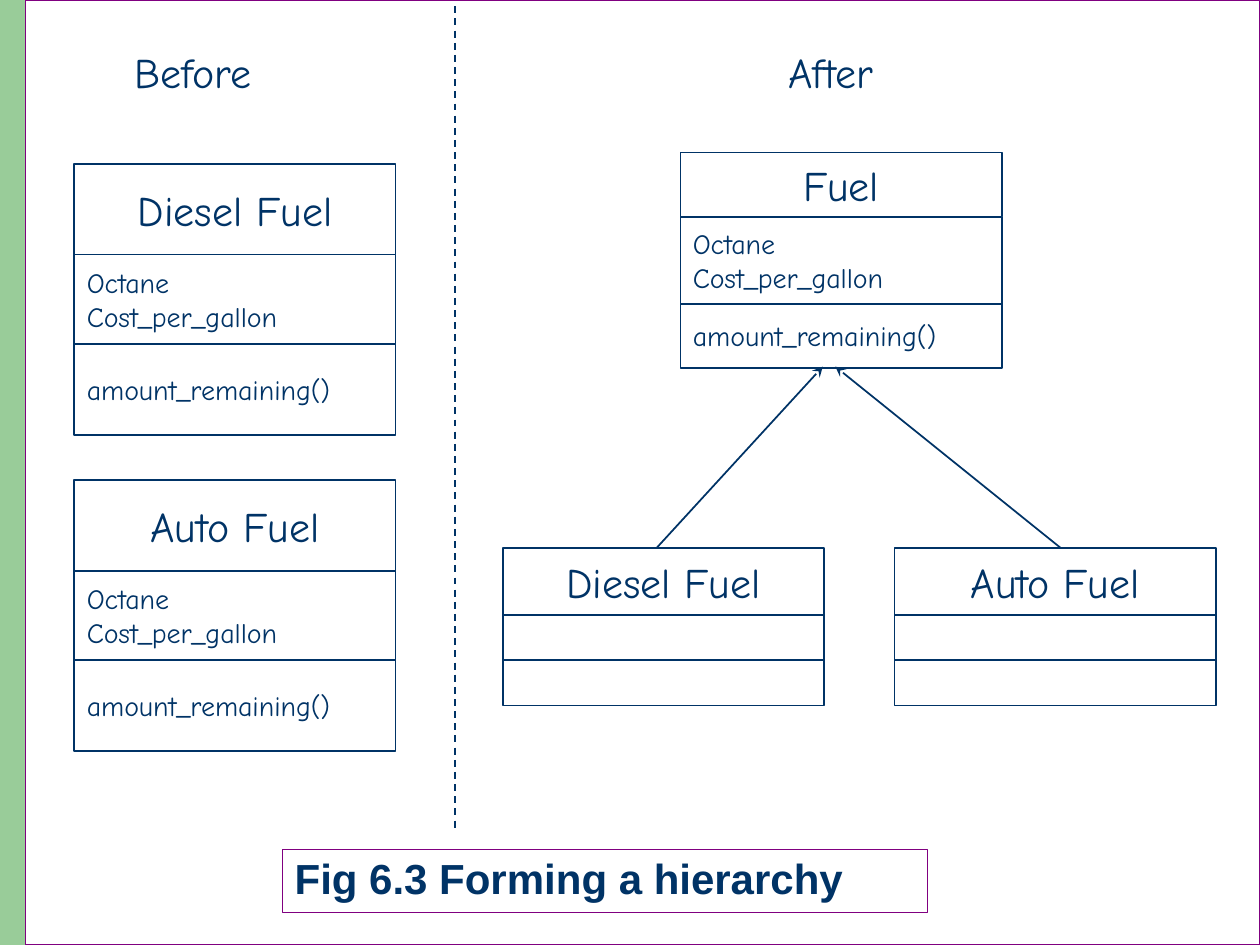
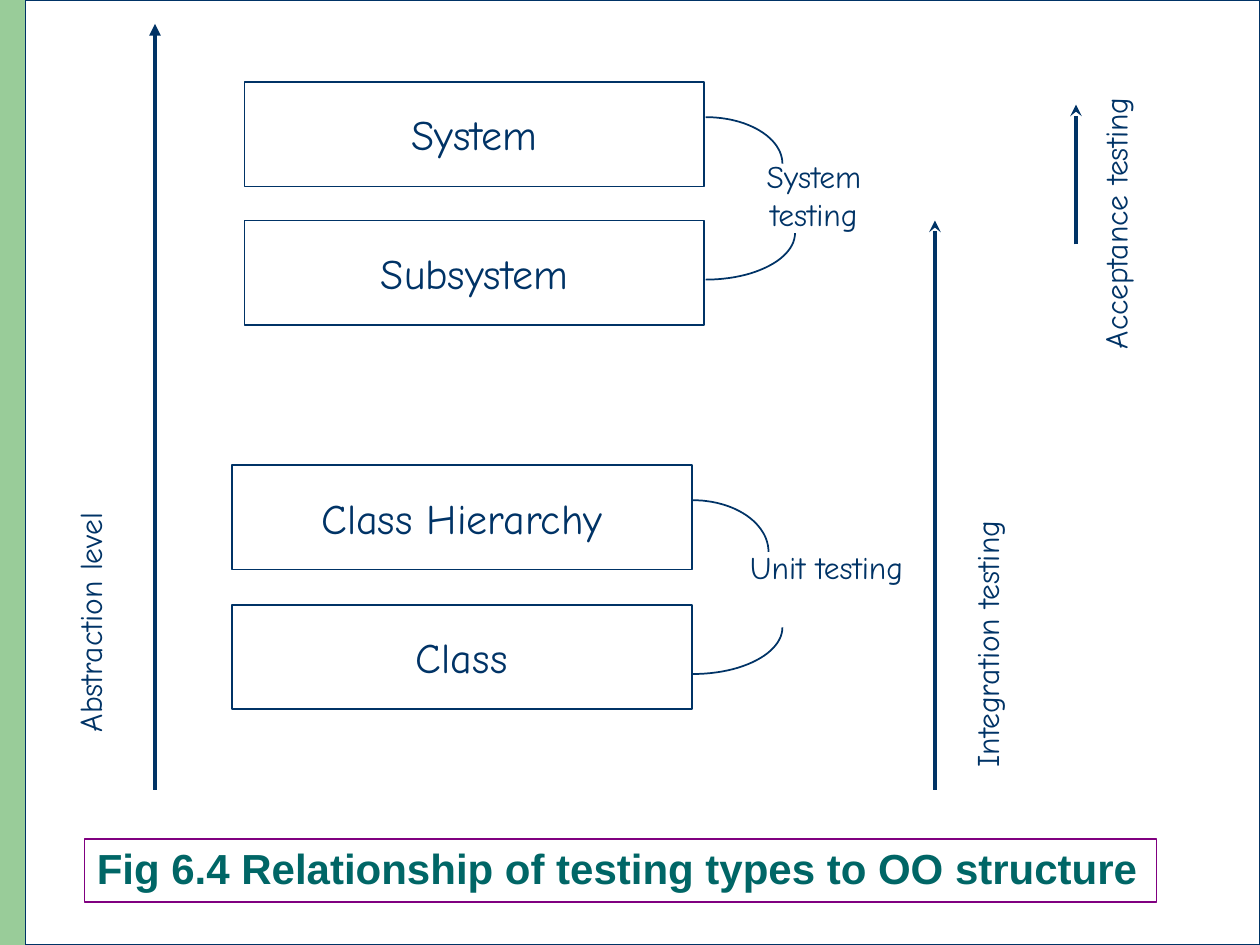
import math

from lxml import etree
from pptx import Presentation
from pptx.dml.color import RGBColor
from pptx.enum.dml import MSO_LINE
from pptx.enum.shapes import MSO_CONNECTOR, MSO_SHAPE
from pptx.enum.text import MSO_ANCHOR, PP_ALIGN
from pptx.oxml.ns import qn
from pptx.util import Pt

PX = 9144
RECT = MSO_SHAPE.RECTANGLE
STRAIGHT = MSO_CONNECTOR.STRAIGHT
DASH = MSO_LINE.DASH
LEFT, CENTER = PP_ALIGN.LEFT, PP_ALIGN.CENTER
TOP, MIDDLE = MSO_ANCHOR.TOP, MSO_ANCHOR.MIDDLE

COLORS = {
    "navy": "003366",
    "teal": "006666",
    "purple": "800080",
    "green": "99CC99",
    "white": "FFFFFF",
}
BODY_FONT, CAPTION_FONT = "Comic Neue", "Arial"
TITLE_SIZE, LABEL_SIZE, MEMBER_SIZE = 24, 18, 16
FIELDS = ["Octane", "Cost_per_gallon"]
METHODS = ["amount_remaining()"]


def color(name):
    return RGBColor.from_string(COLORS[name])


class Deck:
    def __init__(self, prs):
        self.prs = prs
        self.s = None

    def add_slide(self, frame):
        self.s = self.prs.slides.add_slide(self.prs.slide_layouts[6])
        self.rect(0, 0, 81, 750, "green", None)
        self.rect(20, 0, 980, 750, "white", frame, 0.75)

    def rect(self, x, y, w, h, fill="white", line="navy", weight=1):
        sp = self.s.shapes.add_shape(RECT, x * PX, y * PX, w * PX, h * PX)
        sp.shadow.inherit = False
        if fill:
            sp.fill.solid()
            sp.fill.fore_color.rgb = color(fill)
        else:
            sp.fill.background()
        self.stroke(sp, line, weight)
        return sp

    def stroke(self, sp, line="navy", weight=1):
        if line:
            sp.line.color.rgb = color(line)
            sp.line.width = Pt(weight)
        else:
            sp.line.fill.background()

    def add_text(self, sp, lines, size, align=LEFT, anchor=MIDDLE,
                 font=BODY_FONT, ink="navy", bold=False, spacing=None):
        tf = sp.text_frame
        tf.word_wrap = True
        tf.vertical_anchor = anchor
        for i, text in enumerate(lines):
            p = tf.paragraphs[0] if i == 0 else tf.add_paragraph()
            p.alignment = align
            if spacing:
                p.line_spacing = spacing
            r = p.add_run()
            r.text = text
            r.font.name = font
            r.font.size = Pt(size)
            r.font.bold = bold
            r.font.color.rgb = color(ink)

    def box(self, x, y, w, h, lines, size=TITLE_SIZE, align=CENTER):
        self.add_text(self.rect(x, y, w, h), lines, size, align)

    def class_box(self, x, y, heights, name, fields=(), methods=()):
        parts = [([name], TITLE_SIZE, CENTER),
                 (fields, MEMBER_SIZE, LEFT),
                 (methods, MEMBER_SIZE, LEFT)]
        for h, (lines, size, align) in zip(heights, parts):
            self.box(x, y, 255, h, lines, size, align)
            y += h

    def label(self, x, y, w, h, text, size=LABEL_SIZE, align=CENTER):
        sp = self.s.shapes.add_textbox(x * PX, y * PX, w * PX, h * PX)
        self.add_text(sp, [text], size, align, TOP)
        return sp

    def vertical_label(self, x, y, h, text):
        sp = self.label(x, y, 50, h, text)
        sp.rotation = 180
        tf = sp.text_frame
        tf.margin_left = tf.margin_right = 5 * PX
        tf.margin_top = tf.margin_bottom = 10 * PX
        sp._element.txBody.bodyPr.set("vert", "eaVert")

    def line(self, x1, y1, x2, y2, weight=1, head=None, dash=None):
        c = self.s.shapes.add_connector(
            STRAIGHT, x1 * PX, y1 * PX, x2 * PX, y2 * PX)
        self.stroke(c, weight=weight)
        if dash:
            c.line.dash_style = dash
        if head:
            ln = c._element.spPr.find(qn("a:ln"))
            etree.SubElement(ln, qn("a:tailEnd"), type=head)
        etree.SubElement(c._element.spPr, qn("a:effectLst"))

    def quarter_arc(self, x, y, rx, ry, steps=24):
        angles = [math.pi / 2 * i / steps for i in range(steps + 1)]
        points = [((x + rx * math.sin(a)) * PX,
                   (y + ry * (1 - math.cos(a))) * PX) for a in angles]
        fb = self.s.shapes.build_freeform(*points[0])
        fb.add_line_segments(points[1:], close=False)
        sp = fb.convert_to_shape()
        sp.shadow.inherit = False
        sp.fill.background()
        self.stroke(sp)

    def caption(self, x, y, w, text, ink):
        sp = self.rect(x, y, w, 50, None, "purple", 0.75)
        self.add_text(sp, [text], TITLE_SIZE, font=CAPTION_FONT, ink=ink,
                      bold=True, spacing=0.9)


def hierarchy_slide(deck):
    deck.add_slide("purple")
    for x, text in [(97, "Before"), (616, "After")]:
        deck.label(x, 32, 160, 50, text, TITLE_SIZE, LEFT)
    deck.line(361, 5, 361, 658, dash=DASH)
    for y, name in [(130, "Diesel Fuel"), (381, "Auto Fuel")]:
        deck.class_box(59, y, (72, 71, 72), name, FIELDS, METHODS)
    deck.class_box(540, 121, (51, 69, 51), "Fuel", FIELDS, METHODS)
    for x, name, start, end in [(399, "Diesel Fuel", 521, 653),
                                (710, "Auto Fuel", 842, 663)]:
        deck.class_box(x, 435, (53, 36, 36), name)
        deck.line(start, 435, end, 291, head="stealth")
    deck.caption(224, 674, 512, "Fig 6.3 Forming a hierarchy", "navy")


def testing_slide(deck):
    deck.add_slide("navy")
    for x, y, name in [(194, 65, "System"), (194, 175, "Subsystem"),
                       (184, 369, "Class Hierarchy"), (184, 480, "Class")]:
        deck.box(x, y, 365, 83, [name])
    deck.label(570, 120, 152, 70, "System testing")
    deck.label(580, 430, 152, 40, "Unit testing")
    for x, y, rx, ry in [(560, 93, 61, 37), (560, 222, 71, -37),
                         (550, 397, 60, 41), (550, 535, 71, -37)]:
        deck.quarter_arc(x, y, rx, ry)
    for x, bottom, top, head in [(123, 627, 19, "triangle"),
                                 (742, 627, 175, "stealth"),
                                 (854, 194, 83, "stealth")]:
        deck.line(x, bottom, x, top, 2.25, head)
    for x, y, h, text in [(51, 93, 498, "Abstraction level"),
                          (763, 241, 378, "Integration testing"),
                          (865, 0, 287, "Acceptance testing")]:
        deck.vertical_label(x, y, h, text)
    deck.caption(67, 666, 851,
                 "Fig 6.4 Relationship of testing types to OO structure",
                 "teal")


def main():
    prs = Presentation()
    prs.slide_width, prs.slide_height = 1000 * PX, 750 * PX
    deck = Deck(prs)
    hierarchy_slide(deck)
    testing_slide(deck)
    prs.save("out.pptx")


if __name__ == "__main__":
    main()
